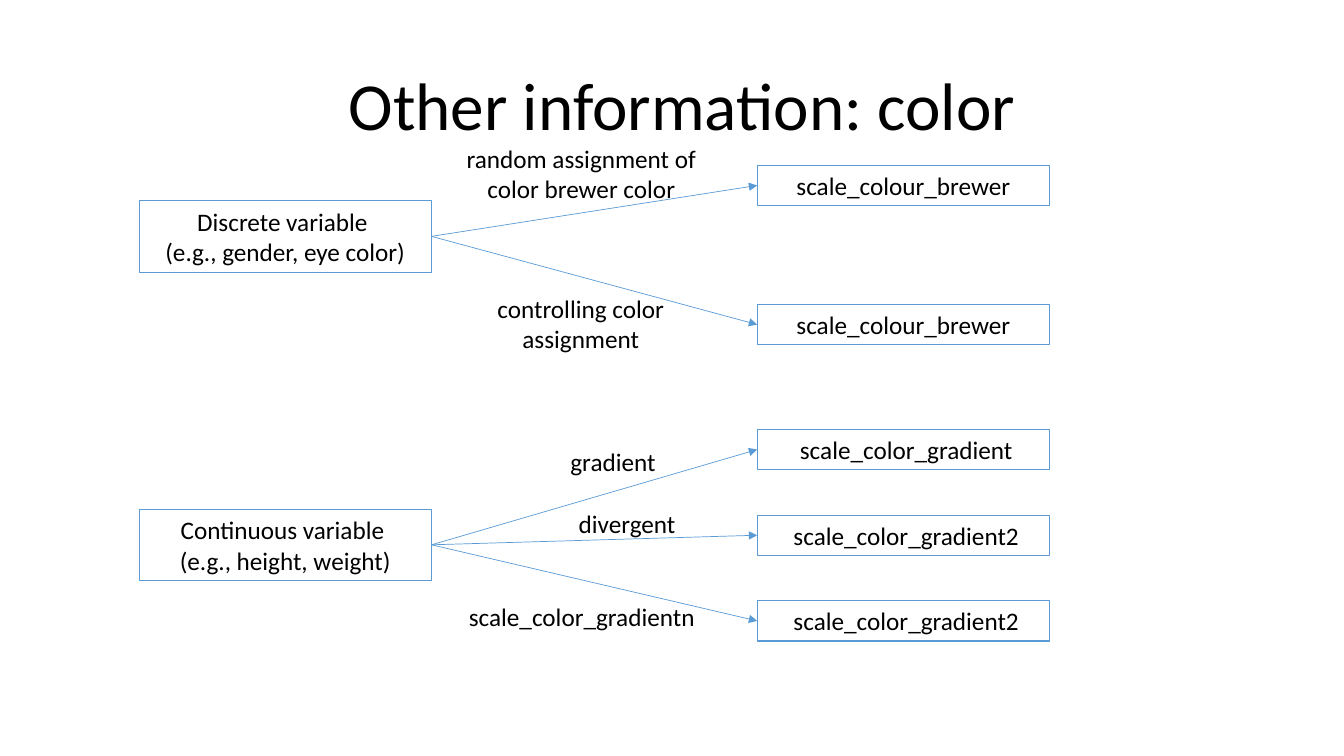
import pptx
import pptx.util
import pptx.dml.color
import pptx.enum.shapes
import pptx.enum.text
import pptx.oxml
import pptx.oxml.ns
from dataclasses import dataclass

Inches = pptx.util.Inches
Pt = pptx.util.Pt
Shape = pptx.enum.shapes.MSO_SHAPE
Anchor = pptx.enum.text.MSO_ANCHOR


@dataclass(frozen=True)
class Theme:
    """Hold the colours, font and sizes of the slide."""
    font: str = "Calibri"
    ink: str = "000000"
    blue: str = "5B9BD5"
    head: float = 48
    body: float = 18
    edge: float = 0.75
    wire: float = 0.5


THEME = Theme()
ROW = 0.4
WIDE = 2.9


def color(code):
    """Turn a hex code into a colour."""
    return pptx.dml.color.RGBColor.from_string(code)


def write(shape, lines, size, anchor):
    """Fill a shape with centred lines."""
    frame = shape.text_frame
    frame.word_wrap = True
    frame.auto_size = pptx.enum.text.MSO_AUTO_SIZE.SHAPE_TO_FIT_TEXT
    frame.vertical_anchor = anchor
    for i, line in enumerate(lines):
        para = frame.add_paragraph() if i else frame.paragraphs[0]
        para.alignment = pptx.enum.text.PP_ALIGN.CENTER
        run = para.add_run()
        run.text = line
        run.font.name = THEME.font
        run.font.size = Pt(size)
        run.font.color.rgb = color(THEME.ink)


def label(slide, box, text, size=THEME.body):
    """Place plain text in a box."""
    shape = slide.shapes.add_textbox(*map(Inches, box))
    write(shape, [text], size, Anchor.TOP)


def node(slide, box, lines):
    """Place an outlined box with text."""
    shape = slide.shapes.add_shape(Shape.RECTANGLE, *map(Inches, box))
    shape.shadow.inherit = False
    shape.fill.background()
    shape.line.color.rgb = color(THEME.blue)
    shape.line.width = Pt(THEME.edge)
    write(shape, lines, THEME.body, Anchor.MIDDLE)
    return shape


def arrow(slide, start, end):
    """Join the right side of one node to the left side of another."""
    wire = slide.shapes.add_connector(
        pptx.enum.shapes.MSO_CONNECTOR.STRAIGHT, 0, 0, 0, 0)
    wire.begin_connect(start, 3)
    wire.end_connect(end, 1)
    wire.line.color.rgb = color(THEME.blue)
    wire.line.width = Pt(THEME.wire)
    tip = pptx.oxml.parse_xml(
        f'<a:tailEnd {pptx.oxml.ns.nsdecls("a")} type="triangle"/>')
    wire.line._get_or_add_ln().append(tip)
    props = wire._element.spPr
    props.append(pptx.oxml.parse_xml(
        f'<a:effectLst {pptx.oxml.ns.nsdecls("a")}/>'))


def tree(slide, box, drop, root, first, step, leaves):
    """Draw a root node, its evenly spaced leaves and their labels."""
    left, top, width, height = box
    start = node(slide, (left, top + drop, WIDE, 0.71), root)
    for i, (name, text, x, y, w, h) in enumerate(leaves):
        place = (left + width - WIDE, top + first + i * step, WIDE, ROW)
        end = node(slide, place, [name])
        arrow(slide, start, end)
        label(slide, (left + x, top + y, w, h), text)


def main():
    """Build and save the slide."""
    deck = pptx.Presentation()
    deck.slide_width, deck.slide_height = Inches(13.33), Inches(7.5)
    slide = deck.slides.add_slide(deck.slide_layouts[6])
    label(slide, (1.57, 0.58, 10.39, 0.91),
          "Other information: color", THEME.head)
    tree(slide, (1.38, 1.37, 9.03, 2.2), 0.62,
         ["Discrete variable ", "(e.g., gender, eye color)"], 0.27, 1.38, [
             ("scale_colour_brewer", "random assignment of color brewer color",
              3.01, 0, 2.75, 0.71),
             ("scale_colour_brewer", "controlling color assignment",
              3.22, 1.49, 2.32, 0.71)])
    tree(slide, (1.38, 4.26, 9.03, 2.1), 0.79,
         ["Continuous variable ", "(e.g., height, weight)"], 0, 0.85, [
             (" scale_color_gradient", "gradient", 3.54, 0.12, 2.32, ROW),
             (" scale_color_gradient2", "divergent", 3.68, 0.73, 2.32, ROW),
             (" scale_color_gradient2", "scale_color_gradientn",
              3.12, 1.66, 2.54, ROW)])
    deck.save("out.pptx")


if __name__ == "__main__":
    main()
